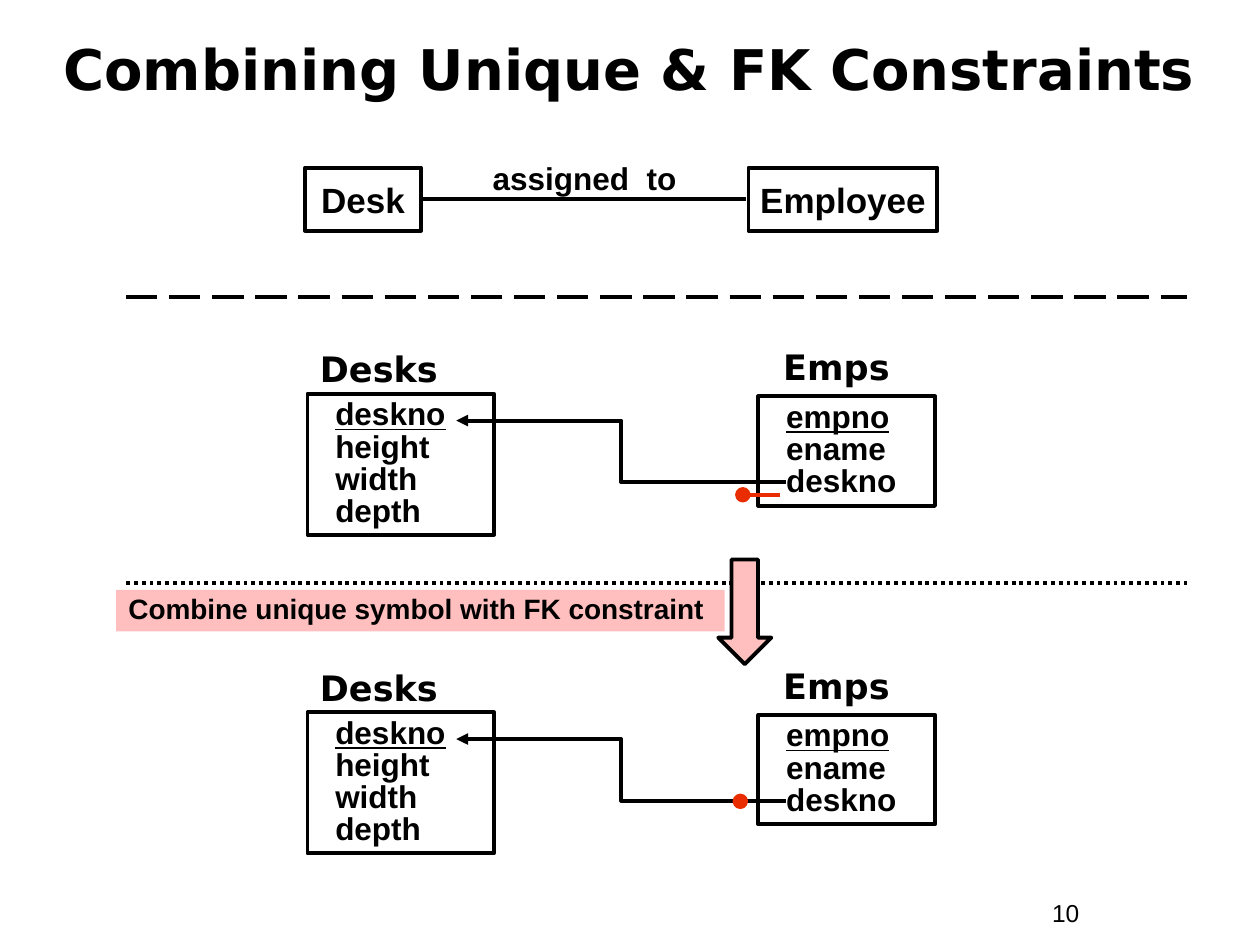
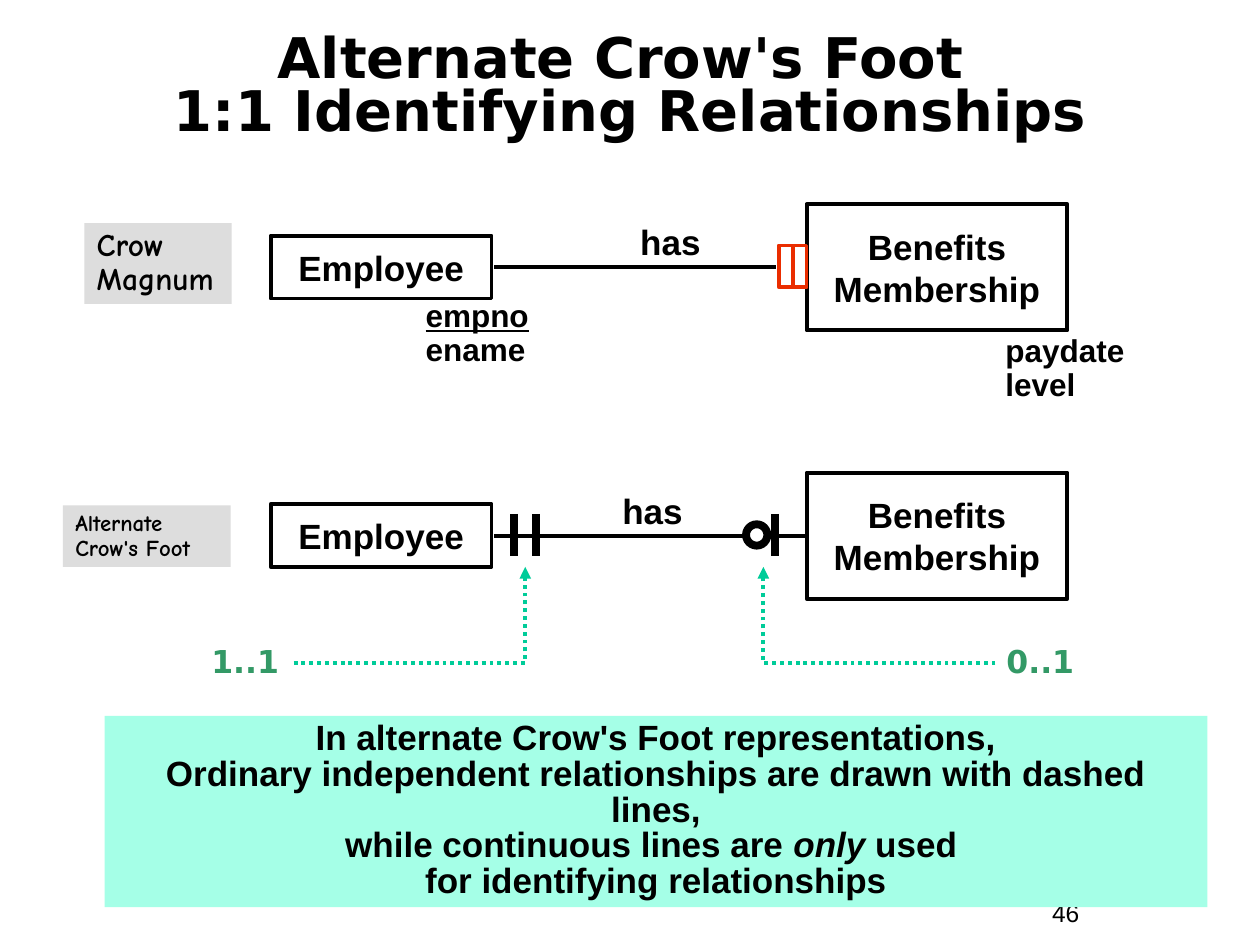
"""Build two database design slides: combined FK constraints and crow's foot notation."""
from lxml import etree
from pptx import Presentation
from pptx.dml.color import RGBColor
from pptx.enum.dml import MSO_LINE
from pptx.enum.shapes import MSO_CONNECTOR, MSO_SHAPE
from pptx.enum.text import MSO_ANCHOR, MSO_AUTO_SIZE, PP_ALIGN
from pptx.oxml.ns import qn
from pptx.util import Cm, Pt

RECT, OVAL, DOWN = MSO_SHAPE.RECTANGLE, MSO_SHAPE.OVAL, MSO_SHAPE.DOWN_ARROW
STRAIGHT, ELBOW = MSO_CONNECTOR.STRAIGHT, MSO_CONNECTOR.ELBOW
DASHED, DOTTED = MSO_LINE.LONG_DASH, MSO_LINE.ROUND_DOT
LEFT, CENTER = PP_ALIGN.LEFT, PP_ALIGN.CENTER
TOP, MIDDLE = MSO_ANCHOR.TOP, MSO_ANCHOR.MIDDLE

COLORS = {
    "black": "000000",
    "white": "FFFFFF",
    "red": "EA2D00",
    "pink": "FFBFBF",
    "gray": "DDDDDD",
    "mint": "A5FFE7",
    "teal": "00CC99",
    "green": "339966",
}
SANS, HEADING, COMIC = "Arial", "DejaVu Sans", "Comic Neue"


def rgb(name):
    return RGBColor.from_string(COLORS[name])


class Deck:
    def __init__(self):
        self.prs = Presentation()
        self.prs.slide_width, self.prs.slide_height = Cm(25.4), Cm(19.05)
        self.s = None

    def slide(self, title, number, at, spacing=1.0):
        self.s = self.prs.slides.add_slide(self.prs.slide_layouts[5])
        sp = self.s.shapes.title
        sp.left, sp.top, sp.width, sp.height = map(Cm, at)
        self.set_text(sp, [title], 32, HEADING, align=CENTER, anchor=MIDDLE, spacing=spacing)
        self.label([number], 20.96, 17.98, 2.34, 0.86, 14, bold=False)

    def set_text(self, sp, lines, size, font=SANS, color="black", align=LEFT, anchor=TOP,
                 spacing=1.0, bold=True, key=False, wrap=True, inset=0.25):
        tf = sp.text_frame
        tf.auto_size = MSO_AUTO_SIZE.NONE
        tf.word_wrap = wrap
        tf.vertical_anchor = anchor
        tf.margin_left, tf.margin_right = Cm(inset), Cm(0.25)
        tf.margin_top = tf.margin_bottom = Cm(0.13)
        for i, line in enumerate(lines):
            p = tf.add_paragraph() if i else tf.paragraphs[0]
            parts = line.split("*")
            if len(parts) == 1:
                p.text = line
            else:
                for j, part in enumerate(parts):
                    r = p.add_run()
                    r.text = part
                    r.font.italic = j % 2 == 1
            p.alignment, p.line_spacing = align, spacing
            p.font.name, p.font.size, p.font.bold = font, Pt(size), bold
            p.font.color.rgb = rgb(color)
            p.font.underline = key and i == 0

    def label(self, lines, x, y, w, h, size, **style):
        sp = self.s.shapes.add_textbox(Cm(x), Cm(y), Cm(w), Cm(h))
        self.set_text(sp, lines, size, **style)

    def shape(self, kind, x, y, w, h, fill=None, line="black", weight=2.25):
        sp = self.s.shapes.add_shape(kind, Cm(x), Cm(y), Cm(w), Cm(h))
        sp.shadow.inherit = False
        if fill:
            sp.fill.solid()
            sp.fill.fore_color.rgb = rgb(fill)
        else:
            sp.fill.background()
        if line:
            sp.line.color.rgb = rgb(line)
            sp.line.width = Pt(weight)
        else:
            sp.line.fill.background()
        return sp

    def entity(self, lines, x, y, w, h):
        self.set_text(self.shape(RECT, x, y, w, h), lines, 20,
                      align=CENTER, anchor=MIDDLE, wrap=False)

    def table_box(self, name, columns, x, y, w, h, name_x, name_y):
        self.label([name], name_x, name_y, 3.35, 1.12, 20, font=HEADING)
        self.set_text(self.shape(RECT, x, y, w, h), columns, 18,
                      spacing=0.85, key=True, inset=0.56)

    def note(self, lines, x, y, w, h, fill, size, **style):
        self.set_text(self.shape(RECT, x, y, w, h, fill, None), lines, size, **style)

    def dot(self, x, y):
        self.shape(OVAL, x, y, 0.23, 0.23, "red", "red")

    def line(self, x1, y1, x2, y2, color="black", weight=2.25, dash=None,
             kind=STRAIGHT, preset=None, arrow=False):
        c = self.s.shapes.add_connector(kind, Cm(x1), Cm(y1), Cm(x2), Cm(y2))
        c.line.color.rgb = rgb(color)
        c.line.width = Pt(weight)
        if dash:
            c.line.dash_style = dash
        sppr = c._element.spPr
        if preset:
            sppr.find(qn("a:prstGeom")).set("prst", preset)
        if arrow:
            etree.SubElement(sppr.find(qn("a:ln")), qn("a:tailEnd"), type="triangle")
        etree.SubElement(sppr, qn("a:effectLst"))


def foreign_key(deck, top):
    deck.table_box("Desks", ["deskno", "height", "width", "depth"],
                   6.2, top + 1.06, 3.76, 2.84, 6.2, top)
    deck.table_box("Emps", ["empno", "ename", "deskno"],
                   15.29, top + 1.11, 3.56, 2.21, 15.54, top - 0.04)
    deck.line(15.85, top + 2.84, 9.2, top + 1.6, kind=ELBOW, arrow=True)


def constraints_slide(deck):
    deck.slide("Combining Unique & FK Constraints", "10", (0.84, 0.2, 23.7, 2.34))
    deck.line(2.54, 5.99, 23.93, 5.99, dash=DASHED)
    deck.line(2.54, 11.76, 23.93, 11.76, dash=DOTTED)
    deck.entity(["Employee"], 15.09, 3.38, 3.81, 1.27)
    deck.entity(["Desk"], 6.15, 3.38, 2.34, 1.27)
    deck.line(15.04, 4.01, 8.51, 4.01)
    for top in (6.88, 13.3):
        foreign_key(deck, top)
    deck.dot(14.86, 9.86)
    deck.line(15.09, 9.98, 15.72, 9.98, "red")
    deck.dot(14.81, 16.04)
    deck.shape(DOWN, 14.48, 11.28, 1.07, 2.11, "pink")
    deck.note(["Combine unique symbol with FK constraint"],
              2.34, 11.89, 12.27, 0.84, "pink", 16, spacing=0.85)
    deck.label(["assigned  to"], 8.05, 3.07, 7.47, 1.02, 18, align=CENTER)


def relationship(deck, y, has_x, line_end):
    deck.entity(["Employee"], 5.46, y - 0.64, 4.45, 1.27)
    deck.entity(["Benefits", "Membership"], 16.26, y - 1.27, 5.26, 2.54)
    deck.line(9.96, y, line_end, y)
    deck.label(["has"], has_x, y - 1.07, 1.73, 1.12, 20, align=CENTER, wrap=False)


def crows_foot_slide(deck):
    deck.slide("Alternate Crow's Foot \v1:1 Identifying Relationships", "46",
               (0.43, 0.84, 24.56, 1.9), spacing=0.8)
    deck.note(["Alternate Crow's Foot"], 1.27, 10.19, 3.38, 1.24, "gray", 13,
              font=COMIC, spacing=0.9)
    deck.note(["Crow", "Magnum"], 1.7, 4.5, 2.97, 1.63, "gray", 18,
              font=COMIC, spacing=0.9)
    relationship(deck, 5.39, 12.65, 15.65)
    deck.label(["empno", "ename"], 8.33, 5.92, 3.07, 1.63, 18, spacing=0.9, key=True)
    deck.label(["paydate", "level"], 20.02, 6.63, 3.07, 1.63, 18, spacing=0.9)
    for x in (15.98, 15.7):
        deck.shape(RECT, x, 4.95, 0.28, 0.84, line="red")
    relationship(deck, 10.8, 12.29, 16.23)
    deck.shape(OVAL, 15.04, 10.57, 0.43, 0.43, "white", weight=4.5)
    for x in (10.36, 10.8, 15.62):
        deck.line(x, 10.36, x, 11.2, weight=4.5)
    deck.note(["In alternate Crow's Foot representations,",
               "Ordinary independent relationships are drawn with dashed lines,",
               "while continuous lines are *only* used ",
               "for identifying relationships"],
              2.11, 14.43, 22.23, 3.86, "mint", 20, align=CENTER, spacing=0.85)
    for text, text_x, start, end in (("1..1", 4.01, 5.92, 10.59),
                                     ("0..1", 20.04, 20.07, 15.39)):
        deck.label([text], text_x, 12.92, 1.9, 0.91, 18, font=HEADING,
                   color="green", spacing=0.85)
        deck.line(start, 13.36, end, 11.43, "teal", dash=DOTTED, kind=ELBOW,
                  preset="bentConnector2", arrow=True)


def main():
    deck = Deck()
    constraints_slide(deck)
    crows_foot_slide(deck)
    deck.prs.save("out.pptx")


if __name__ == "__main__":
    main()
